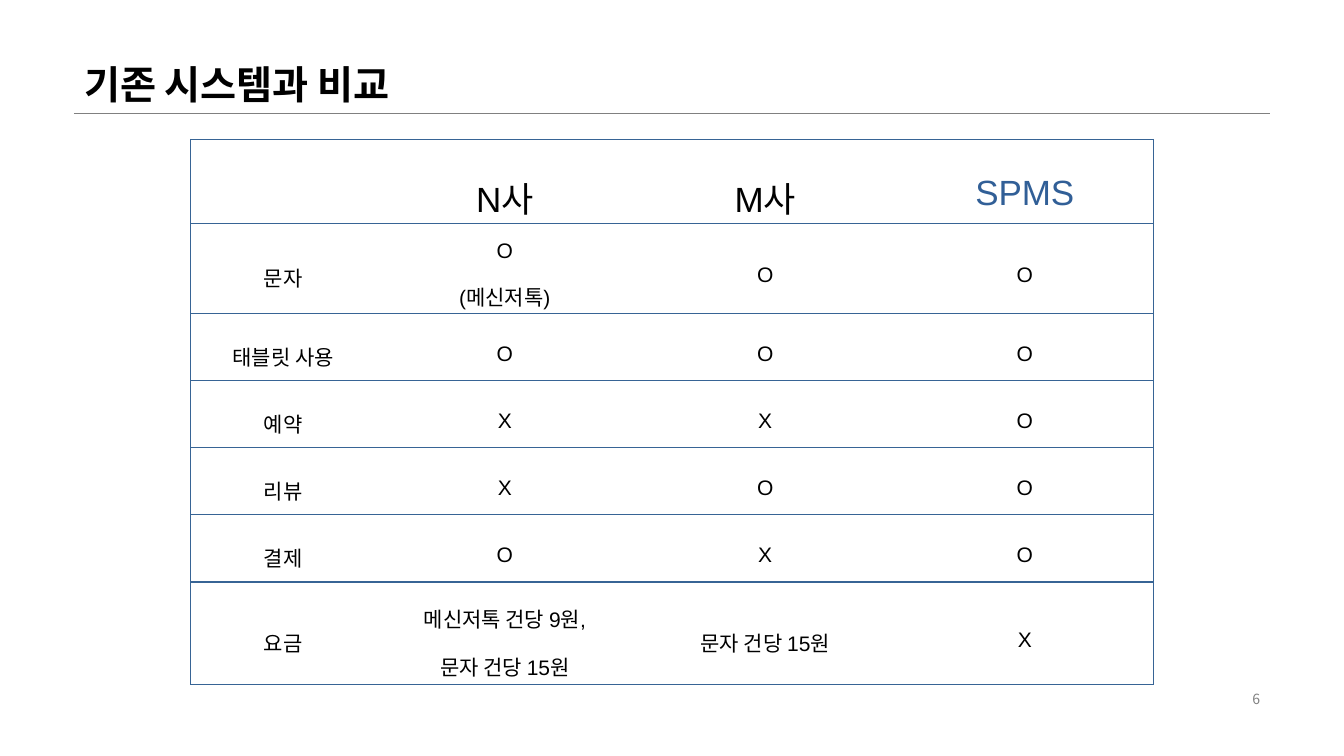
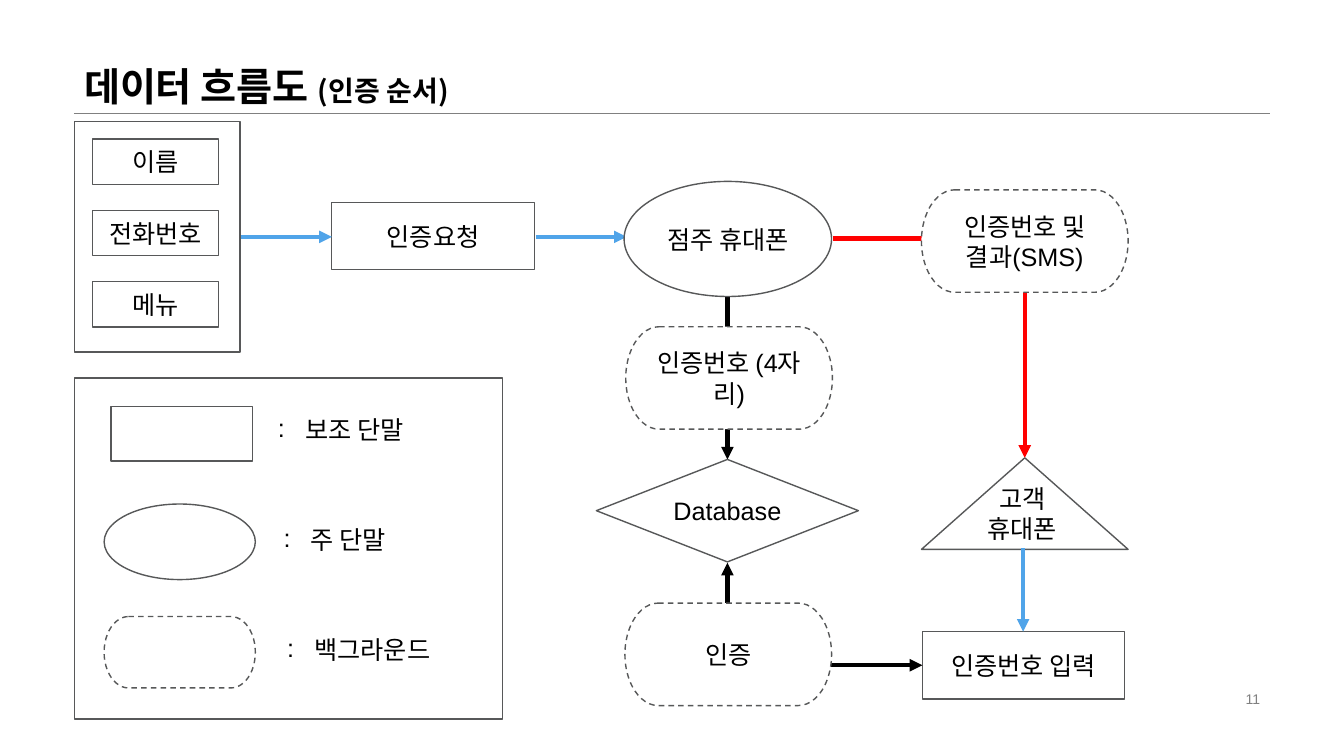
from lxml.etree import SubElement as Sub
from pptx import Presentation
from pptx.dml.color import RGBColor
from pptx.enum.dml import MSO_LINE as Dash
from pptx.enum.shapes import MSO_CONNECTOR as Conn, MSO_SHAPE as Geo
from pptx.enum.text import MSO_ANCHOR as Anchor, MSO_AUTO_SIZE as Fit, PP_ALIGN as Align
from pptx.oxml.ns import qn
from pptx.util import Inches, Pt

WIDE, HIGH = Inches(13.3333), Inches(7.5)
UNIT = Inches(1 / 12)
SANS, HAN = "Arial", "Noto Sans CJK KR"
BLACK, WHITE, GRAY, EDGE = "000000", "FFFFFF", "808080", "575859"
BLUE, RED, NAVY, STEEL = "50A4E9", "FF0000", "376495", "315F97"
LEFT, SPAN, RULE = 8.8, 142.4, 13.45
TERM = (24.6, 12.2)
STEP = (24.1, 8)
NOTE = (23.8, 4.8)

HEAD = {"size": 28, "bold": True, "font": HAN}
BODY = {"size": 18}
MARGIN = {"margin_left": Inches(0.07), "margin_right": Inches(0.07),
          "margin_top": Inches(0.02), "margin_bottom": Inches(0.02)}
CELL = {"vertical_anchor": Anchor.MIDDLE, **MARGIN}
ROWS = [
    ("", "N사", "M사", "SPMS"),
    ("문자", "O\n(메신저톡)", "O", "O"),
    ("태블릿 사용", "O", "O", "O"),
    ("예약", "X", "X", "O"),
    ("리뷰", "X", "O", "O"),
    ("결제", "O", "X", "O"),
    ("요금", "메신저톡 건당 9원,\n문자 건당 15원", "문자 건당 15원", "X"),
]
WIDTHS = (22, 30.8, 31.2, 30.6)
HEIGHTS = (10, 10.7, 8, 8, 8, 8, 12.2)


def hue(code):
    return RGBColor.from_string(code)


def grid(*cells):
    return [round(cell * UNIT) for cell in cells]


def put(item, values):
    for name, value in values.items():
        setattr(item, name, value)


def add_run(para, text, size, bold=False, font=SANS, color=BLACK):
    run = para.add_run()
    run.text = text
    put(run.font, {"size": Pt(size), "bold": bold, "name": font})
    run.font.color.rgb = hue(color)
    Sub(run.font._element, qn("a:ea"), typeface=HAN)


def write(frame, text, look, align=Align.CENTER, space=None):
    for i, line in enumerate(text.split("\n")):
        para = frame.add_paragraph() if i else frame.paragraphs[0]
        put(para, {"alignment": align, "line_spacing": space})
        add_run(para, line, **look)


def add_box(slide, geo, x, y, w, h, text="", dash=None):
    shape = slide.shapes.add_shape(geo, *grid(x, y, w, h))
    shape.shadow.inherit = False
    shape.fill.solid()
    shape.fill.fore_color.rgb = hue(WHITE)
    shape.line.color.rgb = hue(EDGE)
    put(shape.line, {"width": Pt(1), "dash_style": dash})
    if text:
        put(shape.text_frame, {"word_wrap": True, "vertical_anchor": Anchor.MIDDLE})
        write(shape.text_frame, text, BODY)


def add_term(slide, x, y, w, h, text=""):
    add_box(slide, Geo.FLOWCHART_TERMINATOR, x, y, w, h, text, Dash.DASH)


def add_label(slide, x, y, w, h, text, look=BODY, align=Align.LEFT, anchor=Anchor.TOP):
    frame = slide.shapes.add_textbox(*grid(x, y, w, h)).text_frame
    put(frame, {"word_wrap": True, "vertical_anchor": anchor})
    write(frame, text, look, align)
    return frame


def add_key(slide, x, y, text):
    frame = add_label(slide, x, y, *NOTE, text)
    props = frame.paragraphs[0]._p.get_or_add_pPr()
    inset = Inches(0.27)
    props.set("marL", str(inset))
    props.set("indent", str(-inset))
    Sub(props, qn("a:buFont"), typeface=SANS)
    Sub(props, qn("a:buChar"), char=":")


def add_line(slide, x, y, to_x, to_y, color, width=3, tips=("tailEnd",), kind=Conn.STRAIGHT):
    line = slide.shapes.add_connector(kind, *grid(x, y, to_x, to_y))
    line.line.color.rgb = hue(color)
    line.line.width = Pt(width)
    for tip in tips:
        Sub(line.line._get_or_add_ln(), qn("a:" + tip), type="triangle")
    Sub(line._element.spPr, qn("a:effectLst"))
    return line


def add_bend(slide, x, y, to_x, to_y, color, turn=0, tips=("tailEnd",)):
    line = add_line(slide, x, y, to_x, to_y, color, tips=tips, kind=Conn.ELBOW)
    props = line._element.spPr
    props.find(qn("a:prstGeom")).set("prst", "bentConnector2")
    props.find(qn("a:xfrm")).set("rot", str(turn * 60000))


def add_page(deck, top, high, title, number, font, extra=""):
    slide = deck.slides.add_slide(deck.slide_layouts[5])
    head = slide.shapes.title
    sides = grid(LEFT, top, SPAN, high)
    put(head, dict(zip(("left", "top", "width", "height"), sides)))
    frame = head.text_frame
    put(frame, {"vertical_anchor": Anchor.BOTTOM, "auto_size": Fit.NONE, "word_wrap": True})
    write(frame, title, HEAD, Align.LEFT, 0.9)
    if extra:
        add_run(frame.paragraphs[0], extra, **{**HEAD, "size": 20})
    add_label(slide, 113, 81.8, 38.2, 2.8, number,
              {"size": 10, "font": font, "color": GRAY}, Align.RIGHT, Anchor.MIDDLE)
    return slide


def add_rule(slide):
    rule = add_line(slide, LEFT, RULE, LEFT + SPAN, RULE, GRAY, 0.25, ())
    slide.slide_layout.shapes._spTree.append(rule._element)


def edge_cell(cell, col, last):
    props = cell._tc.get_or_add_tcPr()
    drawn = {"lnL": col == 0, "lnR": col == last, "lnT": True, "lnB": True}
    for side, seen in drawn.items():
        edge = Sub(props, qn("a:" + side), w=str(Pt(1)))
        fill = Sub(edge, qn("a:solidFill" if seen else "a:noFill"))
        if seen:
            Sub(fill, qn("a:srgbClr"), val=NAVY)


def add_table(slide, x, y, widths, heights):
    size = grid(x, y, sum(widths), sum(heights))
    table = slide.shapes.add_table(len(heights), len(widths), *size).table
    put(table, {"first_row": False, "horz_banding": False})
    for col, width in zip(table.columns, grid(*widths)):
        col.width = width
    for row, height in zip(table.rows, grid(*heights)):
        row.height = height
    last = len(widths) - 1
    for r, texts in enumerate(ROWS):
        for c, text in enumerate(texts):
            cell = table.cell(r, c)
            put(cell, CELL)
            edge_cell(cell, c, last)
            cell.fill.solid()
            cell.fill.fore_color.rgb = hue(WHITE)
            look = {"size": 15 if r else 25, "color": STEEL if c == last and not r else BLACK}
            if text:
                write(cell.text_frame, text, look, space=1.6)


def add_legend(slide):
    add_box(slide, Geo.RECTANGLE, 13.2, 48.4, 16.9, 6.5)
    add_box(slide, Geo.FLOWCHART_CONNECTOR, 12.4, 60, 18, 9)
    add_term(slide, 12.4, 73.4, 18, 8.5)
    for x, y, text in ((31.9, 48.7, "보조 단말"), (32.6, 61.8, "주 단말"), (33, 74.9, "백그라운드")):
        add_key(slide, x, y, text)


def add_flow(slide):
    add_box(slide, Geo.RECTANGLE, 8.9, 45, 50.9, 40.6)
    add_box(slide, Geo.RECTANGLE, 8.9, 14.5, 19.7, 27.4)
    for i, field in enumerate(("이름", "전화번호", "메뉴")):
        add_box(slide, Geo.RECTANGLE, 11, 16.55 + 8.5 * i, 15, 5.4, field)
    add_box(slide, Geo.RECTANGLE, 39.5, 24.1, *STEP, "인증요청")
    add_bend(slide, 99.2, 28.4, 122, 54.5, RED)
    add_line(slide, 86.6, 32.2, 86.6, 54.7, BLACK)
    add_box(slide, Geo.ISOSCELES_TRIANGLE, 109.7, 54.5, 24.6, 10.9)
    add_box(slide, Geo.RECTANGLE, 109.8, 75.2, *STEP, "인증번호 입력")
    add_line(slide, 121.8, 65.3, 121.8, 75.2, BLUE)
    add_bend(slide, 86.6, 67, 109.8, 79.2, BLACK, 180, ("headEnd", "tailEnd"))
    add_term(slide, 74.5, 38.9, *TERM, "인증번호 (4자리)")
    for x in (28.7, 63.8):
        add_line(slide, x, 28.2, x + 10.8, 28.2, BLUE)
    add_term(slide, 74.4, 71.8, *TERM, "인증")
    add_term(slide, 109.7, 22.6, *TERM, "인증번호 및 결과(SMS)")
    add_box(slide, Geo.FLOWCHART_DECISION, 71, 54.7, 31.2, 12.2, "Database")
    add_box(slide, Geo.FLOWCHART_CONNECTOR, 74.3, 21.6, 24.7, 13.7, "점주 휴대폰")
    add_label(slide, 111.2, 56.9, 21, 12.1, "고객\n휴대폰", align=Align.CENTER)


def main():
    deck = Presentation()
    put(deck, {"slide_width": WIDE, "slide_height": HIGH})
    table = add_page(deck, 2.6, 10.8, "기존 시스템과 비교", "6", HAN)
    add_rule(table)
    add_table(table, 22.7, 16.6, WIDTHS, HEIGHTS)
    flow = add_page(deck, 0, 13.7, "데이터 흐름도 ", "11", SANS, "(인증 순서)")
    add_flow(flow)
    add_legend(flow)
    deck.save("out.pptx")


main()
